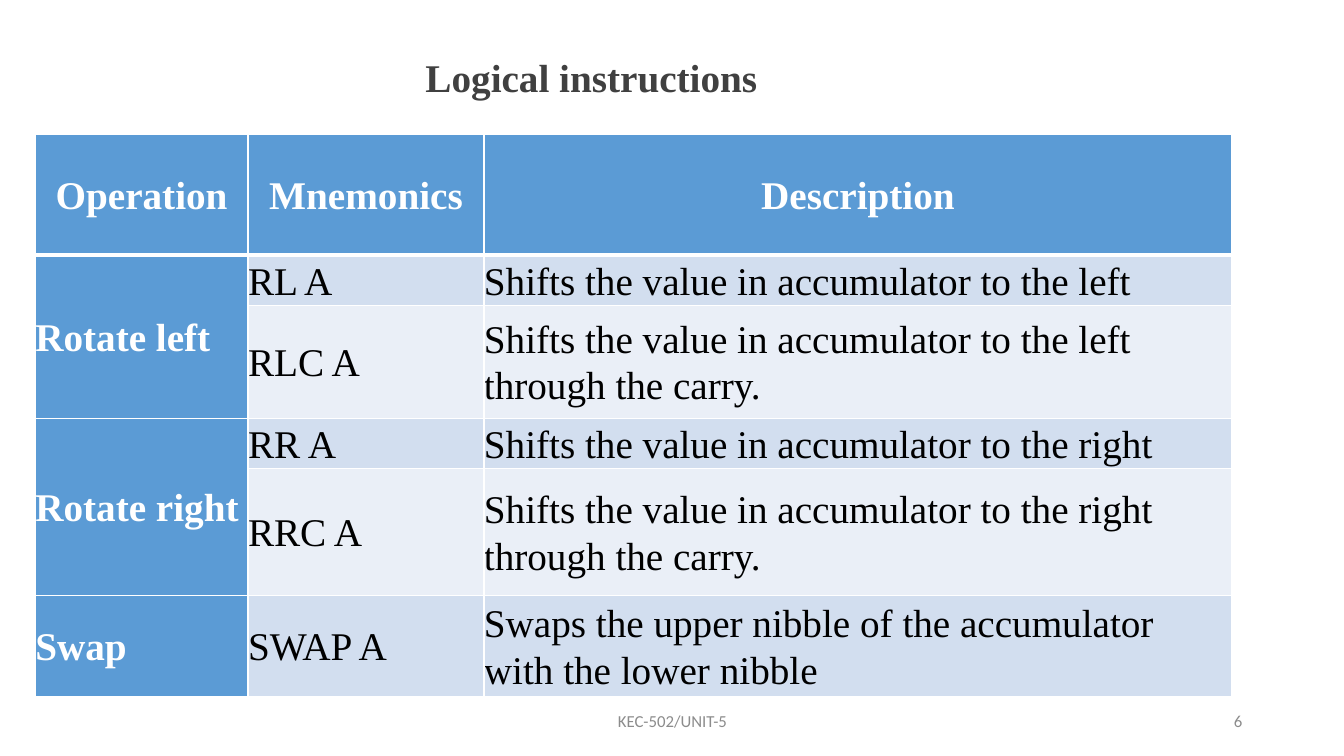
"""Build the logical instructions slide."""
from dataclasses import dataclass
from typing import Any, NamedTuple
import lxml.etree
import pptx
import pptx.dml.color
import pptx.enum.text
import pptx.oxml.ns
import pptx.util

Inches = pptx.util.Inches
Align = pptx.enum.text.PP_ALIGN
Anchor = pptx.enum.text.MSO_ANCHOR


@dataclass(frozen=True)
class Theme:
    serif: str = "Times New Roman"
    sans: str = "Calibri"
    large: int = 28
    small: int = 12
    title: str = "404040"
    muted: str = "8C8C8C"
    head: str = "5B9BD5"
    dark: str = "D2DEEF"
    light: str = "EAEFF7"
    white: str = "FFFFFF"
    black: str = "000000"
    thin: int = 1
    thick: int = 3


class Style(NamedTuple):
    font: str
    size: int
    color: str
    bold: bool = False


class Note(NamedTuple):
    text: str
    left: float
    width: float
    align: Any


class Command(NamedTuple):
    group: str
    code: str
    about: str
    height: float


THEME = Theme()
TITLE = Style(THEME.serif, THEME.large, THEME.title, True)
LABEL = Style(THEME.serif, THEME.large, THEME.white, True)
BODY = Style(THEME.serif, THEME.large, THEME.black)
FOOT = Style(THEME.sans, THEME.small, THEME.muted)

WIDTHS = (2.11, 2.34, 7.42)
ROWS = (
    Command("Operation", "Mnemonics", "Description", 1.2),
    Command("Rotate left", "RL A", "Shifts the value in accumulator to the left", 0.5),
    Command("", "RLC A", "Shifts the value in accumulator to the left through the carry.", 1.12),
    Command("Rotate right", "RR A", "Shifts the value in accumulator to the right", 0.5),
    Command("", "RRC A", "Shifts the value in accumulator to the right through the carry.", 1.26),
    Command("Swap", "SWAP A", "Swaps the upper nibble of the accumulator with the lower nibble", 1.0),
)
NOTES = (
    Note("KEC-502/UNIT-5", 4.42, 4.5, Align.CENTER),
    Note("6", 9.42, 3, Align.RIGHT),
)


def tint(color: str) -> pptx.dml.color.RGBColor:
    return pptx.dml.color.RGBColor.from_string(color)


def write(frame: Any, text: str, style: Style, align: Any) -> Any:
    para = frame.paragraphs[0]
    para.alignment = align
    run = para.add_run()
    run.text = text
    run.font.name = style.font
    run.font.size = pptx.util.Pt(style.size)
    run.font.bold = style.bold
    run.font.color.rgb = tint(style.color)
    return para


def place(shape: Any, left: float, top: float, width: float, height: float) -> None:
    shape.left, shape.top = Inches(left), Inches(top)
    shape.width, shape.height = Inches(width), Inches(height)


def edge(cell: Any, row: int) -> None:
    name = pptx.oxml.ns.qn
    props = cell._tc.get_or_add_tcPr()
    thick = {"T": row == 1, "B": row == 0}
    for side in "LRTB":
        points = THEME.thick if thick.get(side) else THEME.thin
        line = lxml.etree.SubElement(props, name(f"a:ln{side}"), w=str(pptx.util.Pt(points)))
        fill = lxml.etree.SubElement(line, name("a:solidFill"))
        lxml.etree.SubElement(fill, name("a:srgbClr"), val=THEME.white)


def draw_cell(cell: Any, text: str, row: int, col: int) -> None:
    label = row == 0 or col == 0
    edge(cell, row)
    cell.fill.solid()
    band = THEME.dark if row % 2 else THEME.light
    cell.fill.fore_color.rgb = tint(THEME.head if label else band)
    cell.margin_left = cell.margin_right = cell.margin_top = cell.margin_bottom = 0
    cell.vertical_anchor = Anchor.MIDDLE
    if text:
        align = Align.LEFT if row else Align.CENTER
        para = write(cell.text_frame, text, LABEL if label else BODY, align)
        para.line_spacing = 1.07
        para.space_after = pptx.util.Pt(8)


def draw_table(slide: Any) -> None:
    high = sum(row.height for row in ROWS)
    frame = slide.shapes.add_table(
        len(ROWS), len(WIDTHS), Inches(0.35), Inches(1.33), Inches(sum(WIDTHS)), Inches(high))
    table = frame.table
    for col, width in enumerate(WIDTHS):
        table.columns[col].width = Inches(width)
    for row, item in enumerate(ROWS):
        table.rows[row].height = Inches(item.height)
        for col, text in enumerate((item.group, item.code, item.about)):
            draw_cell(table.cell(row, col), text, row, col)
        if not item.group:
            table.cell(row - 1, 0).merge(table.cell(row, 0))


def draw_title(slide: Any) -> None:
    title = slide.shapes.title
    place(title, 4.12, 0.48, 3.53, 0.57)
    frame = title.text_frame
    frame.word_wrap = False
    frame.auto_size = pptx.enum.text.MSO_AUTO_SIZE.SHAPE_TO_FIT_TEXT
    frame.vertical_anchor = Anchor.TOP
    write(frame, "Logical instructions", TITLE, Align.LEFT)


def draw_note(slide: Any, note: Note) -> None:
    box = slide.shapes.add_textbox(0, 0, 0, 0)
    place(box, note.left, 6.95, note.width, 0.4)
    box.text_frame.word_wrap = True
    box.text_frame.vertical_anchor = Anchor.MIDDLE
    write(box.text_frame, note.text, FOOT, note.align)


def main() -> None:
    deck = pptx.Presentation()
    deck.slide_width, deck.slide_height = Inches(13.33), Inches(7.5)
    slide = deck.slides.add_slide(deck.slide_layouts.get_by_name("Title Only"))
    draw_title(slide)
    draw_table(slide)
    for note in NOTES:
        draw_note(slide, note)
    deck.save("out.pptx")


main()
